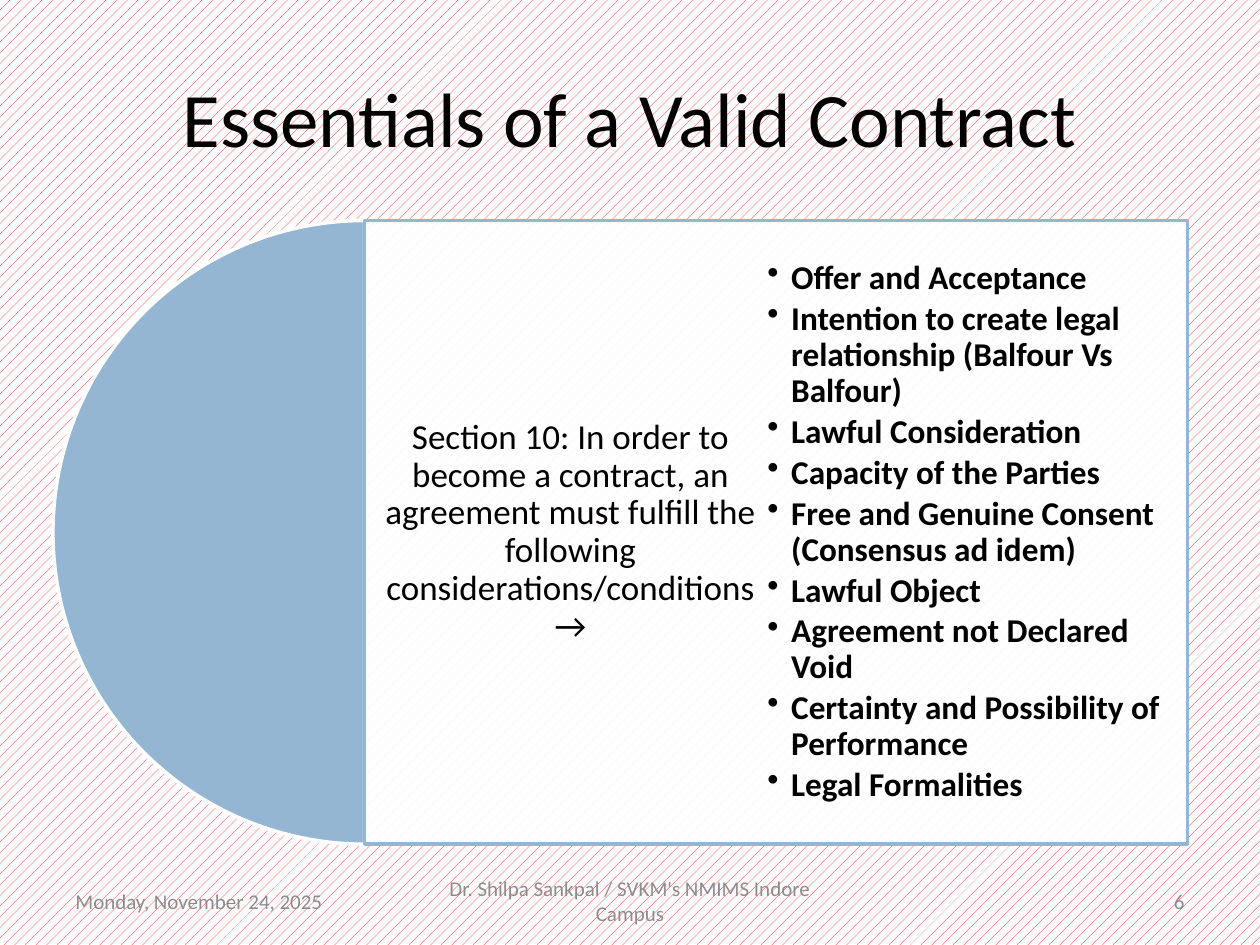
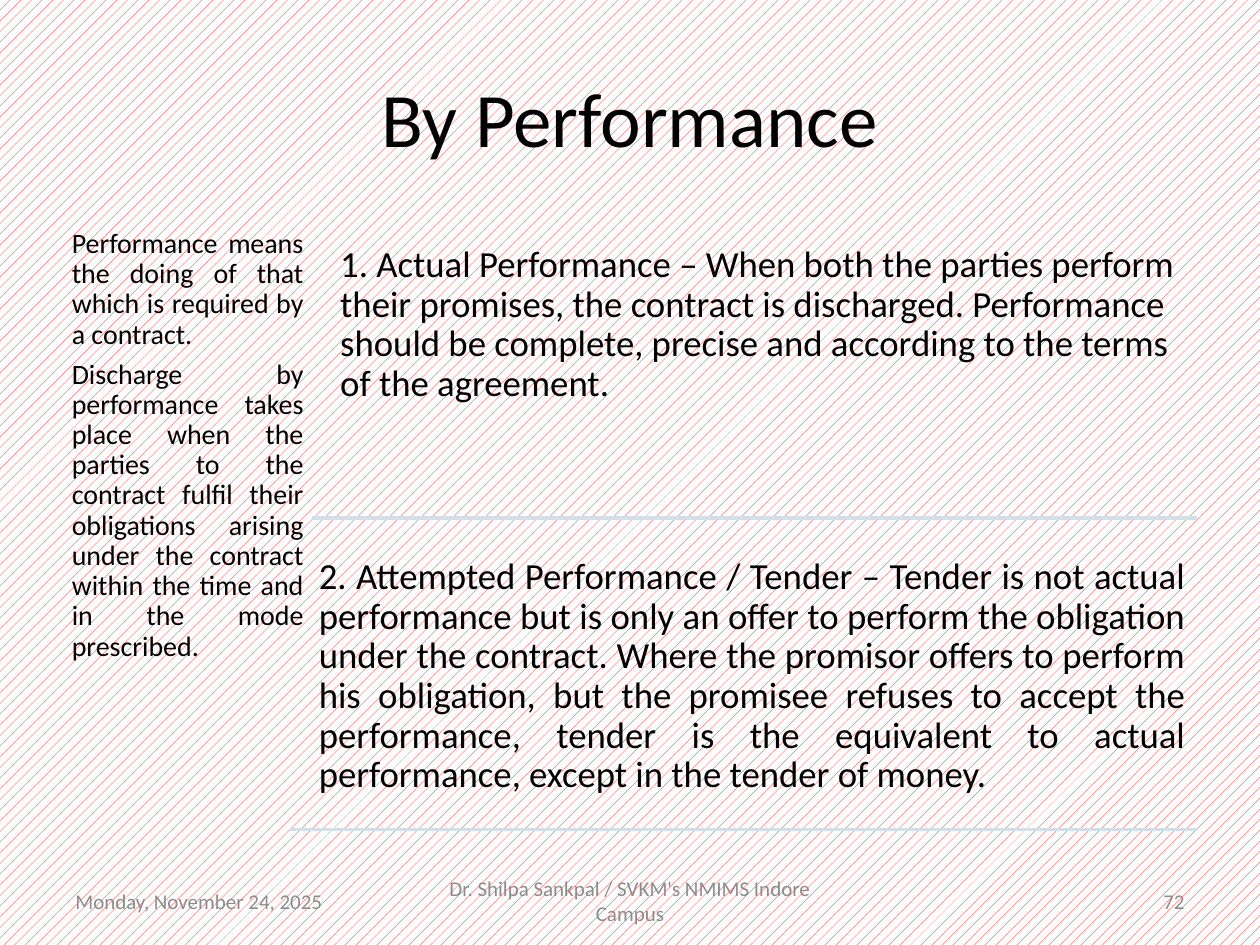
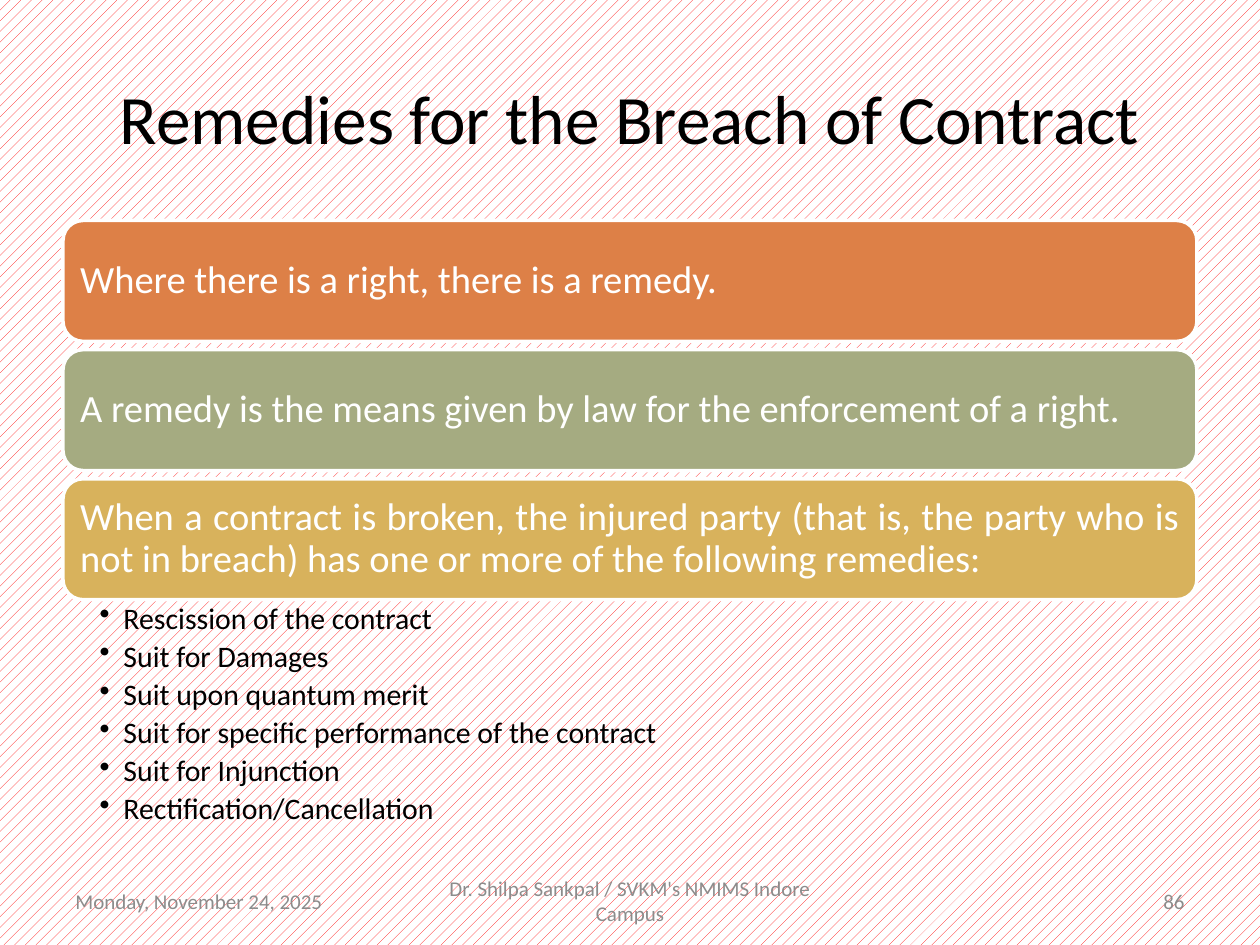
from collections import namedtuple

from lxml.etree import SubElement
from pptx import Presentation
from pptx.dml.color import RGBColor
from pptx.enum.dml import MSO_PATTERN
from pptx.enum.shapes import MSO_CONNECTOR, MSO_SHAPE
from pptx.enum.text import MSO_ANCHOR, MSO_AUTO_SIZE, PP_ALIGN
from pptx.oxml.ns import qn
from pptx.util import Inches, Pt

Box = namedtuple("Box", "left top width height")

# Shared style
FONT = "Calibri"
BLACK, WHITE, RED, GREY = "000000", "FFFFFF", "FF0000", "8C8C8C"
BLUE, PALE_BLUE = "94B6D2", "D2DEEA"
ORANGE, GREEN, GOLD = "DD8047", "A5AB81", "D8B25C"
LINE_WIDTH = 2
BULLET_INDENT = 0.19

# Shared regions
TITLE_BOX = Box(0.5, 0.3, 9, 1.25)
CONTENT_BOX = Box(0.5, 1.75, 9, 4.95)
FOOTER_BOX = Box(0.5, 6.95, 9, 0.4)
DATE = "Monday, November 24, 2025"
AUTHOR = "Dr. Shilpa Sankpal / SVKM's NMIMS Indore Campus"


def color(hex_value):
    return RGBColor.from_string(hex_value)


def lengths(box):
    return [Inches(value) for value in box]


def add_bullet(paragraph):
    properties = paragraph._p.get_or_add_pPr()
    properties.set("marL", str(Inches(BULLET_INDENT)))
    properties.set("indent", str(-Inches(BULLET_INDENT)))
    SubElement(properties, qn("a:buChar"), char="•")


def write_text(shape, *texts, size, text_color=BLACK, bold=False, align=PP_ALIGN.LEFT,
               anchor=MSO_ANCHOR.TOP, insets=(0.1, 0.05, 0.1, 0.05),
               line_spacing=None, gap=0, bullets=False):
    """Write one paragraph per text; gap is the space after as a share of the size."""
    frame = shape.text_frame
    frame.word_wrap = True
    frame.auto_size = MSO_AUTO_SIZE.NONE
    frame.vertical_anchor = anchor
    (frame.margin_left, frame.margin_top,
     frame.margin_right, frame.margin_bottom) = lengths(insets)
    for index, text in enumerate(texts):
        paragraph = frame.paragraphs[0] if index == 0 else frame.add_paragraph()
        paragraph.text = text
        paragraph.alignment = align
        if line_spacing:
            paragraph.line_spacing = line_spacing
        if gap:
            paragraph.space_after = Pt(size * gap)
        if bullets:
            paragraph.level = 1
            add_bullet(paragraph)
        font = paragraph.runs[0].font
        font.name = FONT
        font.size = Pt(size)
        font.bold = bold
        font.color.rgb = color(text_color)


def add_text(slide, box, *texts, **text_format):
    text_box = slide.shapes.add_textbox(*lengths(box))
    write_text(text_box, *texts, **text_format)


def add_shape(slide, preset, box, fill, line):
    shape = slide.shapes.add_shape(preset, *lengths(box))
    shape.shadow.inherit = False
    shape.fill.solid()
    shape.fill.fore_color.rgb = color(fill)
    shape.line.color.rgb = color(line)
    shape.line.width = Pt(LINE_WIDTH)
    return shape


def add_rule(slide, left, right, top):
    rule = slide.shapes.add_connector(
        MSO_CONNECTOR.STRAIGHT, *lengths((left, top, right, top)))
    rule.line.color.rgb = color(PALE_BLUE)
    rule.line.width = Pt(LINE_WIDTH)
    SubElement(rule._element.spPr, qn("a:effectLst"))


def add_footer(slide, box, number):
    side_width, author_width = 2.33, 3.17
    parts = (
        (DATE, 0, side_width, PP_ALIGN.LEFT),
        (AUTHOR, (box.width - author_width) / 2, author_width, PP_ALIGN.CENTER),
        (str(number), box.width - side_width, side_width, PP_ALIGN.RIGHT),
    )
    for text, offset, width, align in parts:
        add_text(slide, Box(box.left + offset, box.top, width, box.height), text,
                 size=12, text_color=GREY, align=align, anchor=MSO_ANCHOR.MIDDLE)


def start_slide(presentation, title, number, title_size=44):
    """Add a slide with the hatched background, title and footer."""
    slide = presentation.slides.add_slide(presentation.slide_layouts.get_by_name("Title Only"))
    fill = slide.background.fill
    fill.patterned()
    fill.pattern = MSO_PATTERN.PERCENT_20
    fill.fore_color.rgb = color(RED)
    fill.back_color.rgb = color(WHITE)

    placeholder = slide.shapes.title
    (placeholder.left, placeholder.top,
     placeholder.width, placeholder.height) = lengths(TITLE_BOX)
    write_text(placeholder, title, size=title_size,
               align=PP_ALIGN.CENTER, anchor=MSO_ANCHOR.MIDDLE)
    add_footer(slide, FOOTER_BOX, number)
    return slide


def add_half_circle_panel(slide, box, statement, points):
    """Half circle on the left, with a panel starting at its centre."""
    circle = Box(box.left - 0.08, box.top, box.height, box.height)
    half_circle = add_shape(slide, MSO_SHAPE.PIE, circle, BLUE, WHITE)
    half_circle.adjustments[0] = 54
    half_circle.adjustments[1] = 162

    panel_left = circle.left + circle.width / 2
    panel_box = Box(panel_left, box.top, 6.53, box.height)
    panel = add_shape(slide, MSO_SHAPE.RECTANGLE, panel_box, WHITE, BLUE)
    fill_color = panel._element.spPr.find(qn("a:solidFill"))[0]
    SubElement(fill_color, qn("a:alpha"), val="90000")

    shared = dict(anchor=MSO_ANCHOR.MIDDLE, insets=(0.08,) * 4, line_spacing=0.9)
    add_text(slide, panel_box._replace(width=panel_box.width / 2), statement,
             size=20, align=PP_ALIGN.CENTER, gap=0.35, **shared)
    add_text(slide, Box(box.left + 5.51, box.top, 3.57, box.height), *points,
             size=19, bold=True, gap=0.15, bullets=True, **shared)


def add_definition_and_kinds(slide, box, definition, kinds):
    """Definition in a narrow column, kinds stacked beside it with rules below."""
    right = box.left + box.width
    text_height, pitch = 2.25, 2.475
    add_text(slide, Box(box.left, box.top, 1.98, box.height / 2), *definition,
             size=16, align=PP_ALIGN.JUSTIFY, insets=(0.07,) * 4,
             line_spacing=0.9, gap=0.35)
    for index, (text, text_offset, rule_offset, align) in enumerate(kinds):
        left = box.left + text_offset
        top = box.top + 0.11 + index * pitch
        add_text(slide, Box(left, top, right - left, text_height), text,
                 size=21, align=align, insets=(0.09,) * 4, line_spacing=0.9, gap=0.35)
        add_rule(slide, box.left + rule_offset, right, top + text_height)


def add_bars_with_list(slide, box, bars, points):
    """Coloured bars at an equal pitch, then a bulleted list below the last."""
    bar_height, pitch = 0.96, 1.025
    for index, (text, fill, align) in enumerate(bars):
        bar_box = Box(box.left, box.top + index * pitch, box.width, bar_height)
        bar = add_shape(slide, MSO_SHAPE.ROUNDED_RECTANGLE, bar_box, fill, WHITE)
        write_text(bar, text, size=22, text_color=WHITE, align=align,
                   anchor=MSO_ANCHOR.MIDDLE, insets=(0.09,) * 4,
                   line_spacing=0.9, gap=0.35)
    list_offset = (len(bars) - 1) * pitch + bar_height
    list_box = Box(box.left, box.top + list_offset, box.width, box.height - list_offset)
    add_text(slide, list_box, *points, size=17, insets=(0.29, 0.03, 0.17, 0.03),
             line_spacing=0.9, gap=0.2, bullets=True)


def build_essentials(presentation):
    slide = start_slide(presentation, "Essentials of a Valid Contract", 6)
    add_half_circle_panel(
        slide, CONTENT_BOX,
        "Section 10: In order to become a contract, an agreement must fulfill the "
        "following considerations/conditions →",
        (
            "Offer and Acceptance",
            "Intention to create legal relationship (Balfour Vs Balfour)",
            "Lawful Consideration",
            "Capacity of the Parties",
            "Free and Genuine Consent (Consensus ad idem)",
            "Lawful Object",
            "Agreement not Declared Void",
            "Certainty and Possibility of Performance",
            "Legal Formalities",
        ))


def build_performance(presentation):
    slide = start_slide(presentation, "By Performance", 72)
    definition = (
        "Performance means the doing of that which is required by a contract.",
        "Discharge by performance takes place when the parties to the contract fulfil "
        "their obligations arising under the contract within the time and in the mode "
        "prescribed.",
    )
    # Text, offset of the text, offset of the rule, alignment
    kinds = (
        ("1. Actual Performance – When both the parties perform their promises, the "
         "contract is discharged. Performance should be complete, precise and according "
         "to the terms of the agreement.", 2.11, 1.98, PP_ALIGN.LEFT),
        ("2. Attempted Performance / Tender – Tender is not actual performance but is "
         "only an offer to perform the obligation under the contract. Where the promisor "
         "offers to perform his obligation, but the promisee refuses to accept the "
         "performance, tender is the equivalent to actual performance, except in the "
         "tender of money.", 1.94, 1.8, PP_ALIGN.JUSTIFY),
    )
    add_definition_and_kinds(slide, CONTENT_BOX, definition, kinds)


def build_remedies(presentation):
    slide = start_slide(presentation, "Remedies for the Breach of Contract", 86,
                        title_size=39.6)
    bars = (
        ("Where there is a right, there is a remedy.", ORANGE, PP_ALIGN.LEFT),
        ("A remedy is the means given by law for the enforcement of a right.",
         GREEN, PP_ALIGN.LEFT),
        ("When a contract is broken, the injured party (that is, the party who is not in "
         "breach) has one or more of the following remedies:", GOLD, PP_ALIGN.JUSTIFY),
    )
    points = (
        "Rescission of the contract",
        "Suit for Damages",
        "Suit upon quantum merit",
        "Suit for specific performance of the contract",
        "Suit for Injunction",
        "Rectification/Cancellation",
    )
    add_bars_with_list(slide, CONTENT_BOX, bars, points)


def main():
    presentation = Presentation()
    presentation.slide_width = Inches(10)
    presentation.slide_height = Inches(7.5)
    build_essentials(presentation)
    build_performance(presentation)
    build_remedies(presentation)
    presentation.save("out.pptx")


if __name__ == "__main__":
    main()
